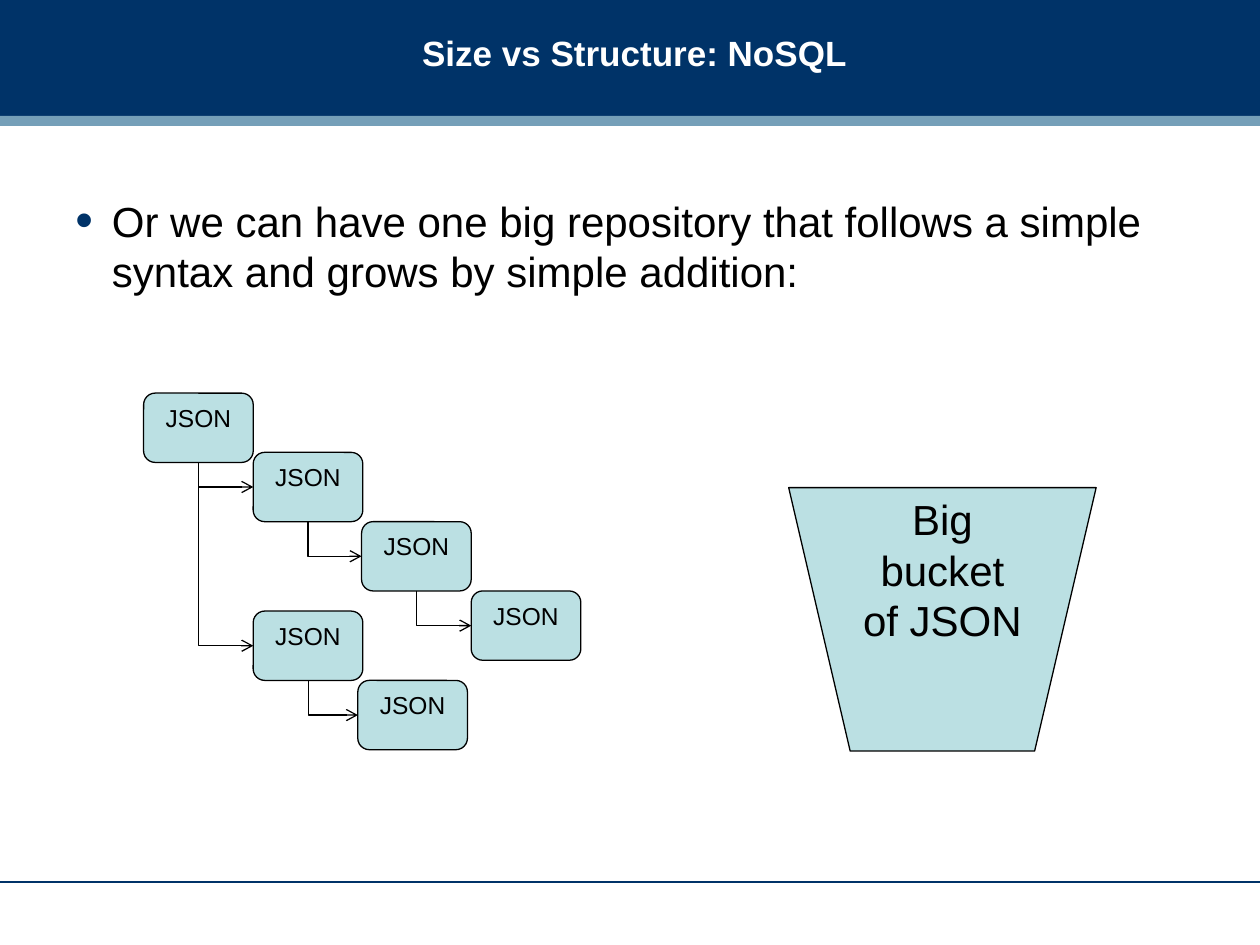
from dataclasses import dataclass
from typing import Optional

from lxml.etree import SubElement
from pptx import Presentation
from pptx.dml.color import RGBColor
from pptx.enum.shapes import MSO_CONNECTOR, MSO_SHAPE
from pptx.enum.text import MSO_ANCHOR, MSO_AUTO_SIZE, PP_ALIGN
from pptx.oxml.ns import qn
from pptx.shapes.autoshape import Shape
from pptx.shapes.connector import Connector
from pptx.slide import Slide
from pptx.text.text import _Paragraph
from pptx.util import Inches, Pt

NAVY = RGBColor(0x00, 0x33, 0x68)
STEEL = RGBColor(0x75, 0x9F, 0xB8)
PALE_TEAL = RGBColor(0xBB, 0xE0, 0xE3)
BLACK = RGBColor(0x00, 0x00, 0x00)
WHITE = RGBColor(0xFF, 0xFF, 0xFF)

FONT = "Arial"
NODE_WIDTH = 0.87
NODE_HEIGHT = 0.55
BOTTOM_SITE = 2
LEFT_SITE = 1


@dataclass(frozen=True)
class Node:
    left: float
    top: float
    parent: Optional[int] = None


NODES = [
    Node(1.14, 3.12),
    Node(2.01, 3.59, parent=0),
    Node(2.87, 4.14, parent=1),
    Node(3.74, 4.69, parent=2),
    Node(2.01, 4.85, parent=0),
    Node(2.84, 5.4, parent=4),
]


def style_paragraph(para: _Paragraph, size: float, color: RGBColor, align: PP_ALIGN) -> None:
    para.alignment = align
    para.font.name = FONT
    para.font.size = Pt(size)
    para.font.color.rgb = color


def add_band(page: Slide, top: float, height: float, color: RGBColor) -> None:
    band = page.shapes.add_shape(
        MSO_SHAPE.RECTANGLE, 0, Inches(top), Inches(10), Inches(height)
    )
    band.shadow.inherit = False
    band.fill.solid()
    band.fill.fore_color.rgb = color
    band.line.fill.background()


def add_labelled_shape(
    page: Slide, kind: MSO_SHAPE, left: float, top: float,
    width: float, height: float, label: str, size: float,
) -> Shape:
    shape = page.shapes.add_shape(
        kind, Inches(left), Inches(top), Inches(width), Inches(height)
    )
    shape.shadow.inherit = False
    shape.fill.solid()
    shape.fill.fore_color.rgb = PALE_TEAL
    shape.line.color.rgb = BLACK
    shape.line.width = Pt(0.75)
    frame = shape.text_frame
    frame.vertical_anchor = MSO_ANCHOR.TOP
    frame.text = label
    style_paragraph(frame.paragraphs[0], size, BLACK, PP_ALIGN.CENTER)
    return shape


def style_line(line: Connector, color: RGBColor) -> None:
    line.line.color.rgb = color
    line.line.width = Pt(0.75)
    SubElement(line.element.spPr, qn("a:effectLst"))


def add_branch(page: Slide, parent: Shape, child: Shape) -> None:
    start_x = parent.left + parent.width // 2
    start_y = parent.top + parent.height
    end_x = child.left
    end_y = child.top + child.height // 2
    branch = page.shapes.add_connector(
        MSO_CONNECTOR.ELBOW, start_x, start_y, end_x, end_y
    )
    branch.begin_connect(parent, BOTTOM_SITE)
    branch.end_connect(child, LEFT_SITE)
    across, down = end_x - start_x, end_y - start_y
    branch.left = (start_x + end_x - down) // 2
    branch.top = (start_y + end_y - across) // 2
    branch.width, branch.height = down, across
    properties = branch.element.spPr
    transform = properties.find(qn("a:xfrm"))
    transform.set("rot", str(270 * 60000))
    transform.set("flipH", "1")
    properties.find(qn("a:prstGeom")).set("prst", "bentConnector2")
    style_line(branch, BLACK)
    SubElement(properties.find(qn("a:ln")), qn("a:tailEnd"), type="arrow")


def add_title(page: Slide, text: str) -> None:
    title = page.shapes.title
    title.left, title.top = Inches(3.25), Inches(0)
    title.width, title.height = Inches(6.58), Inches(0.83)
    frame = title.text_frame
    frame.text = text
    frame.auto_size = MSO_AUTO_SIZE.NONE
    frame.vertical_anchor = MSO_ANCHOR.MIDDLE
    para = frame.paragraphs[0]
    style_paragraph(para, 20, WHITE, PP_ALIGN.LEFT)
    para.font.bold = True
    page.shapes.element.append(title.element)


def add_bullet_text(page: Slide, text: str) -> None:
    box = page.shapes.add_textbox(Inches(0.5), Inches(1.5), Inches(9), Inches(4.95))
    frame = box.text_frame
    frame.word_wrap = True
    frame.text = text
    para = frame.paragraphs[0]
    properties = para._p.get_or_add_pPr()
    properties.set("marL", str(Inches(0.29)))
    properties.set("indent", str(-Inches(0.29)))
    bullet_color = SubElement(properties, qn("a:buClr"))
    SubElement(bullet_color, qn("a:srgbClr"), val=str(NAVY))
    SubElement(properties, qn("a:buSzPct"), val="120000")
    SubElement(properties, qn("a:buFont"), typeface=FONT)
    SubElement(properties, qn("a:buChar"), char="•")
    style_paragraph(para, 24, BLACK, PP_ALIGN.LEFT)


def main() -> None:
    deck = Presentation()
    deck.slide_width, deck.slide_height = Inches(10), Inches(7.5)
    page = deck.slides.add_slide(deck.slide_layouts[5])

    add_band(page, 0, 0.92, NAVY)
    footer_rule = page.shapes.add_connector(
        MSO_CONNECTOR.STRAIGHT, 0, Inches(7), Inches(10), Inches(7)
    )
    style_line(footer_rule, NAVY)
    add_band(page, 0.92, 0.08, STEEL)

    add_title(page, "Size vs Structure: NoSQL")
    add_bullet_text(
        page,
        "Or we can have one big repository that follows a simple syntax "
        "and grows by simple addition:",
    )

    boxes: list[Shape] = []
    for node in NODES:
        box = add_labelled_shape(
            page, MSO_SHAPE.ROUNDED_RECTANGLE, node.left, node.top,
            NODE_WIDTH, NODE_HEIGHT, "JSON", 14,
        )
        if node.parent is not None:
            add_branch(page, boxes[node.parent], box)
        boxes.append(box)

    add_labelled_shape(
        page, MSO_SHAPE.FLOWCHART_MANUAL_OPERATION, 6.26, 3.87, 2.44, 2.09,
        "Big bucket of JSON", 24,
    )
    deck.save("out.pptx")


if __name__ == "__main__":
    main()
